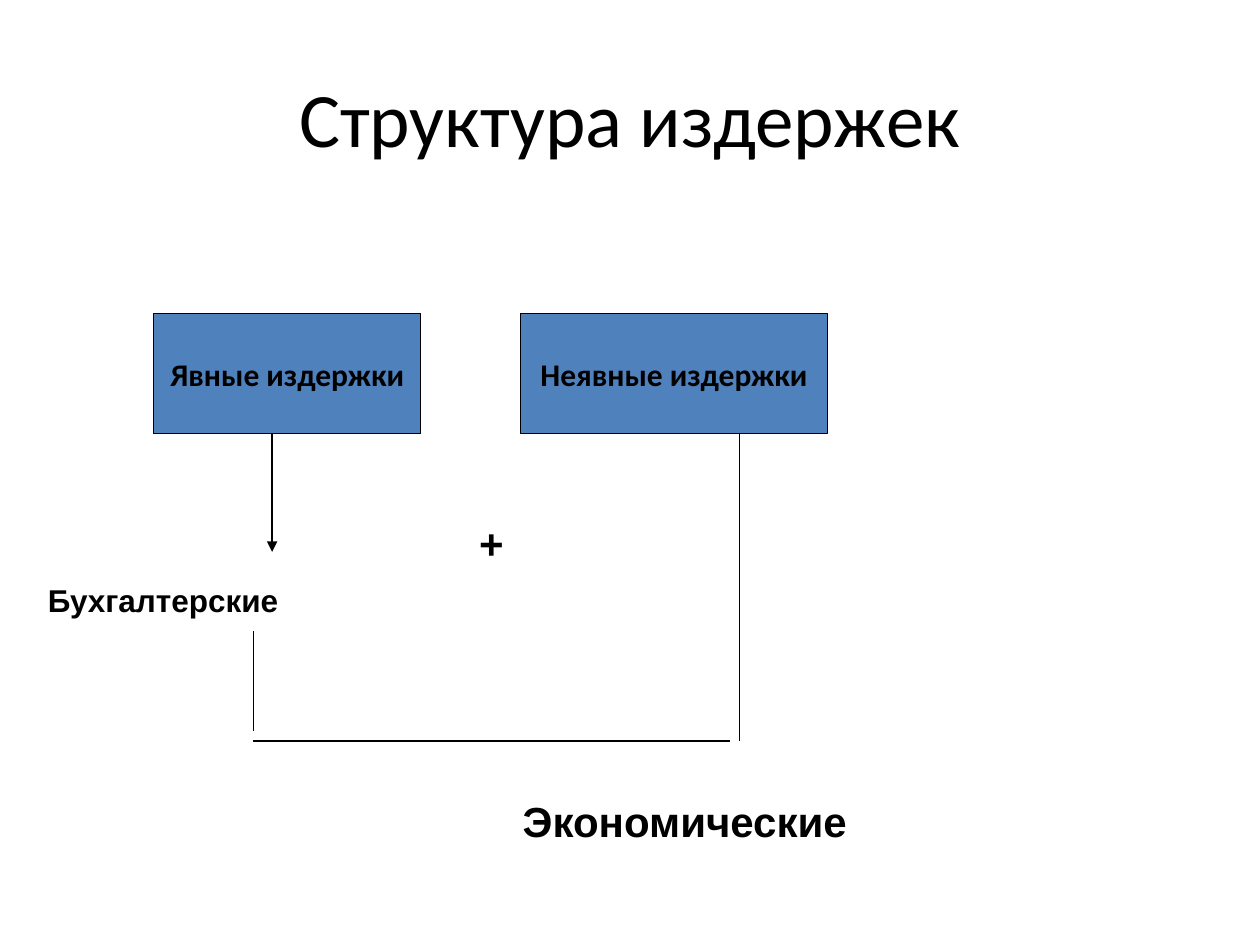
from lxml.etree import SubElement
from pptx import Presentation
from pptx.dml.color import RGBColor as RGB
from pptx.enum.shapes import MSO_CONNECTOR as Link, MSO_SHAPE as Kind
from pptx.enum.text import MSO_ANCHOR as Anchor, MSO_AUTO_SIZE as Auto, PP_ALIGN as Align
from pptx.oxml.ns import qn
from pptx.util import Inches, Pt

HEX = {"ink": "000000", "box": "4F81BD", "page": "FFFFFF"}
WIDE, HIGH = Inches(10), Inches(7.5)

# Places are percent of the slide's width and height
TITLE = ("Структура издержек", (5, 4, 90, 16.67))
TOP, TALL = 33.2, 12.67
FOOT, BASE = TOP + TALL, 78.4
LEFT, RIGHT = 20.1, 58.7

# Text, left, width
BOXES = [
    ("Явные издержки", 12.2, 21.2),
    ("Неявные издержки", 41.3, 24.4),
]
# Text, place, size, wrap
LABELS = [
    ("Бухгалтерские", (2.8, 60.8, 20.3, 5.33), 18, False),
    ("+", (33.5, 54.13, 11, 6.67), 24, True),
    ("Экономические", (38.2, 83.47, 32.3, 6.67), 24, True),
]
# Start, end, arrow
LINES = [
    ((21.6, FOOT), (21.6, 58.4), True),
    ((LEFT, 66.8), (LEFT, 77.33), False),
    ((LEFT, BASE), (57.9, BASE), False),
    ((RIGHT, BASE), (RIGHT, FOOT), False),
]


def tint(name):
    return RGB.from_string(HEX[name])


def scale(nums):
    return [round(n * (HIGH if i % 2 else WIDE) / 100) for i, n in enumerate(nums)]


def write(shape, text, size, face, bold=True, wrap=False, anchor=Anchor.MIDDLE, auto=Auto.NONE):
    frame = shape.text_frame
    frame.text = text
    look = {"word_wrap": wrap, "vertical_anchor": anchor, "auto_size": auto}
    for key, value in look.items():
        setattr(frame, key, value)
    para = frame.paragraphs[0]
    para.alignment = Align.CENTER
    for key, value in {"size": Pt(size), "name": face, "bold": bold}.items():
        setattr(para.font, key, value)
    para.font.color.rgb = tint("ink")


def edge(line):
    line.color.rgb = tint("ink")
    line.width = Pt(0.75)


deck = Presentation()
deck.slide_width, deck.slide_height = WIDE, HIGH
slide = deck.slides.add_slide(deck.slide_layouts[5])
slide.background.fill.solid()
slide.background.fill.fore_color.rgb = tint("page")
shapes = slide.shapes

# Title
text, place = TITLE
for key, value in zip(("left", "top", "width", "height"), scale(place)):
    setattr(shapes.title, key, value)
write(shapes.title, text, 44, "Calibri", bold=False, wrap=True)

# Cost boxes
for text, left, width in BOXES:
    box = shapes.add_shape(Kind.RECTANGLE, *scale((left, TOP, width, TALL)))
    box.shadow.inherit = False
    box.fill.solid()
    box.fill.fore_color.rgb = tint("box")
    edge(box.line)
    write(box, text, 18, "Calibri")

# Arrow and bracket
for start, end, arrow in LINES:
    link = shapes.add_connector(Link.STRAIGHT, *scale(start + end))
    edge(link.line)
    props = link.line._get_or_add_ln()
    if arrow:
        SubElement(props, qn("a:tailEnd"), type="triangle")
    SubElement(props.getparent(), qn("a:effectLst"))

# Labels
for text, place, size, wrap in LABELS:
    label = shapes.add_textbox(*scale(place))
    write(label, text, size, "Arial", wrap=wrap, anchor=Anchor.TOP, auto=Auto.SHAPE_TO_FIT_TEXT)

deck.save("out.pptx")
